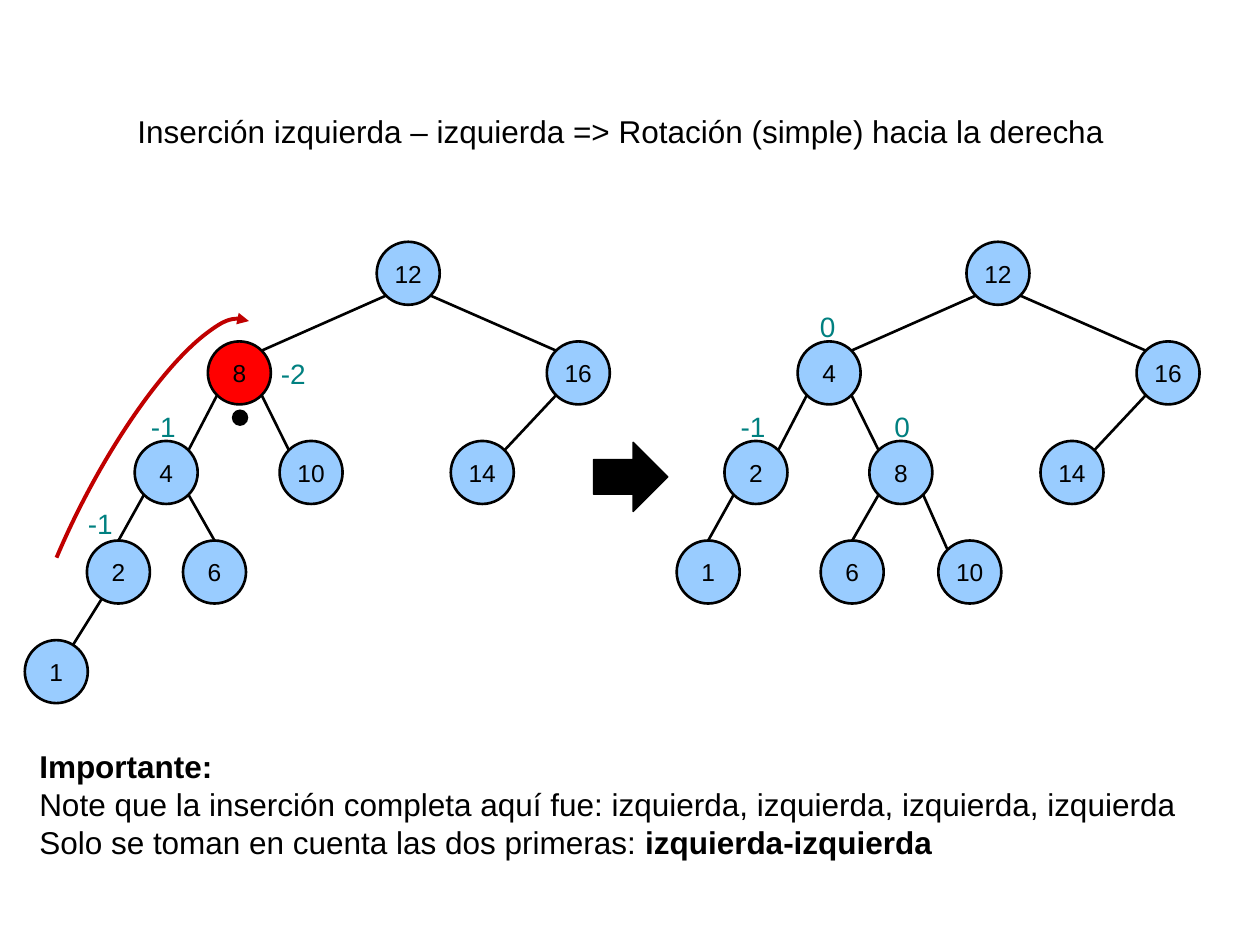
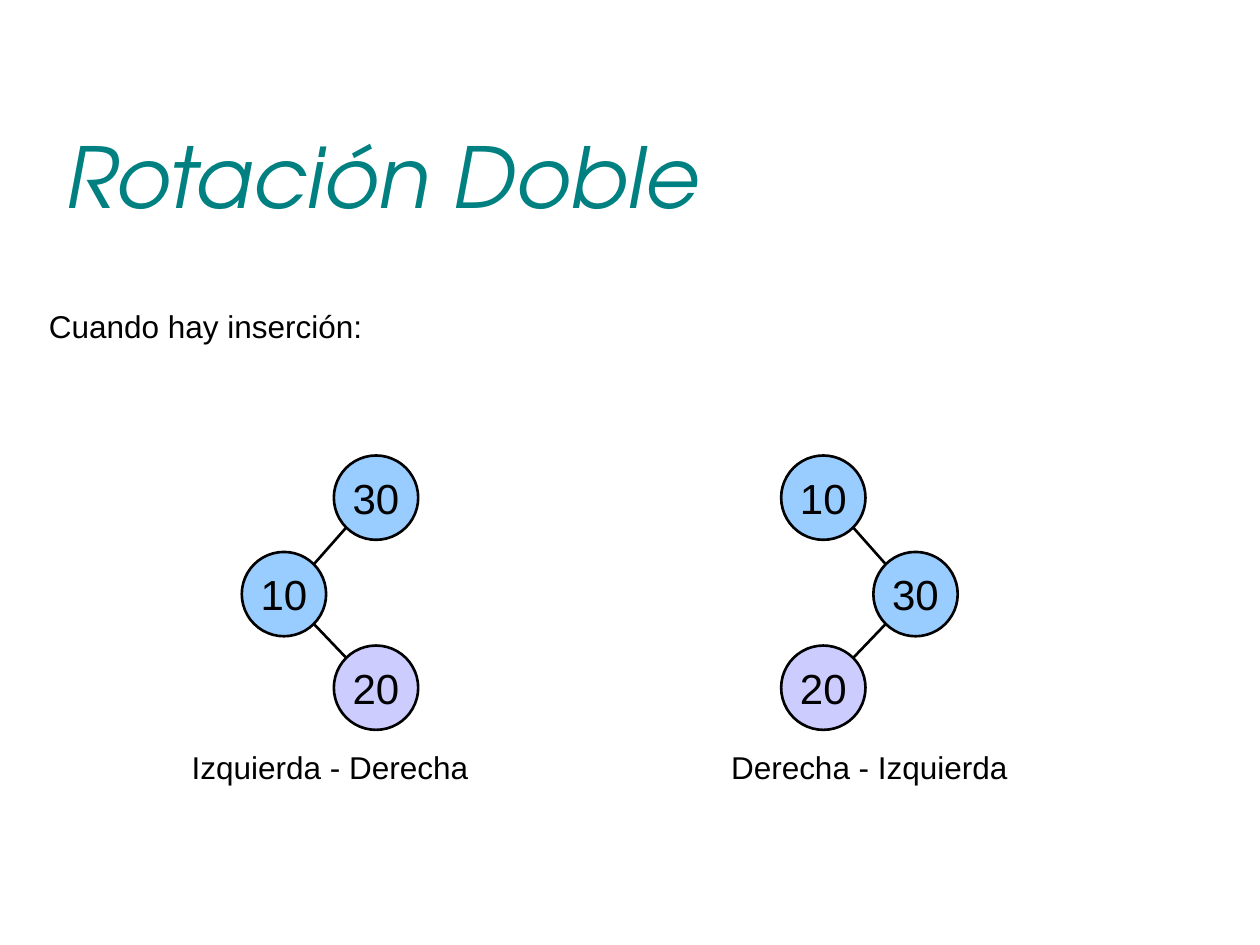
"""Builds two slides on AVL tree rotations."""
import math

import pptx
import pptx.dml.color
import pptx.enum.shapes
import pptx.enum.text
import pptx.oxml
import pptx.oxml.ns
import pptx.util

Pt = pptx.util.Pt
SHAPE = pptx.enum.shapes.MSO_SHAPE
ALIGN = pptx.enum.text.PP_ALIGN
ANCHOR = pptx.enum.text.MSO_ANCHOR
COLORS = {
    "black": "000000",
    "teal": "008080",
    "node": "99CCFF",
    "unbalanced": "FF0000",
    "inserted": "CCCCFF",
    "path_arrow": "C00000",
}
BODY_FONT = "Arial"
TITLE_FONT = "TeX Gyre Adventor"
ROOT_TOP, LEVEL_GAP = 138.2, 56.9
AFTER_OFFSET = 337


def rgb(name):
    return pptx.dml.color.RGBColor.from_string(COLORS[name])


def box(left, top, width, height):
    return Pt(left), Pt(top), Pt(width), Pt(height)


def write(tf, text, size=18, color="black", font=BODY_FONT, italic=False,
          align=ALIGN.LEFT, anchor=ANCHOR.TOP, wrap=False):
    tf.word_wrap = wrap
    tf.auto_size = pptx.enum.text.MSO_AUTO_SIZE.NONE
    tf.vertical_anchor = anchor
    for i, line in enumerate(text.split("\n")):
        p = tf.paragraphs[0] if i == 0 else tf.add_paragraph()
        p.alignment = align
        for j, part in enumerate(line.split("**")):
            if part:
                r = p.add_run()
                r.text = part
                r.font.name = font
                r.font.size = Pt(size)
                r.font.bold = j % 2 == 1
                r.font.italic = italic
                r.font.color.rgb = rgb(color)


def add_text(s, text, *bounds, **fmt):
    write(s.shapes.add_textbox(*box(*bounds)).text_frame, text, **fmt)


def set_title(s, text, *bounds, **fmt):
    sp = s.shapes.title
    sp.left, sp.top, sp.width, sp.height = box(*bounds)
    write(sp.text_frame, text, anchor=ANCHOR.MIDDLE, **fmt)


def add_shape(s, kind, *bounds, fill=None, line=None, weight=1.5):
    sp = s.shapes.add_shape(kind, *box(*bounds))
    sp.shadow.inherit = False
    if fill:
        sp.fill.solid()
        sp.fill.fore_color.rgb = rgb(fill)
    else:
        sp.fill.background()
    if line:
        sp.line.color.rgb = rgb(line)
        sp.line.width = Pt(weight)
    else:
        sp.line.fill.background()
    return sp


def add_node(s, value, left, top, size, fill, font_size):
    sp = add_shape(s, SHAPE.OVAL, left, top, size, size, fill=fill, line="black")
    tf = sp.text_frame
    tf.margin_left = tf.margin_right = tf.margin_top = tf.margin_bottom = 0
    write(tf, str(value), size=font_size, align=ALIGN.CENTER, anchor=ANCHOR.MIDDLE)


def add_edge(s, parent, child, size, joint):
    dx, dy = child[0] - parent[0], child[1] - parent[1]
    side = math.copysign(1, dx)
    if joint == "center":
        start = math.atan2(dy, dx)
        end = start + math.pi
    else:
        start = math.atan2(1, side)
        end = -math.pi / 2 if joint == "top" else math.atan2(-1, -side)
    points = []
    for (left, top), angle in ((parent, start), (child, end)):
        points += [Pt(left + size / 2 * (1 + math.cos(angle))),
                   Pt(top + size / 2 * (1 + math.sin(angle)))]
    cx = s.shapes.add_connector(pptx.enum.shapes.MSO_CONNECTOR.STRAIGHT, *points)
    cx.line.color.rgb = rgb("black")
    cx.line.width = Pt(1.5)
    cx._element.spPr.append(pptx.oxml.parse_xml(
        f'<a:effectLst {pptx.oxml.ns.nsdecls("a")}/>'))


def add_tree(s, nodes, size=36, font_size=14, dx=0, fills=None):
    """Draws nodes given as value: (left, top, parent value, joint)."""
    places = {value: (left + dx, top) for value, (left, top, _, _) in nodes.items()}
    for value, (_, _, parent, joint) in nodes.items():
        if parent is not None:
            add_edge(s, places[parent], places[value], size, joint)
    for value, place in places.items():
        add_node(s, value, *place, size, (fills or {}).get(value, "node"), font_size)


def add_balance(s, text, left, top):
    add_text(s, text, left, top, 28.8 if len(text) > 1 else 23.8, 26.6,
             size=16, color="teal")


def add_path_arrow(s):
    sp = add_shape(s, SHAPE.ARC, -51.1, 264.2, 263.5, 71.3,
                   line="path_arrow", weight=2.25)
    sp.adjustments[0], sp.adjustments[1] = 132.615, 0.129
    sp.rotation = 297.7
    sp.line._get_or_add_ln().append(pptx.oxml.parse_xml(
        f'<a:tailEnd {pptx.oxml.ns.nsdecls("a")} type="triangle"/>'))


def build_simple_rotation(prs):
    s = prs.slides.add_slide(prs.slide_layouts[5])
    set_title(s, "Inserción izquierda – izquierda => Rotación (simple) hacia la derecha",
              71.3, 60.5, 576.7, 28.8)
    tops = [ROOT_TOP + LEVEL_GAP * level for level in range(5)]
    shared = {
        12: (215.3, tops[0], None, None),
        16: (312.5, tops[1], 12, "diagonal"),
        14: (257.6, tops[2], 16, "diagonal"),
    }
    before = {
        **shared,
        8: (118.8, tops[1], 12, "diagonal"),
        4: (77, tops[2], 8, "diagonal"),
        10: (159.8, tops[2], 8, "diagonal"),
        2: (49.7, tops[3], 4, "top"),
        6: (104.6, tops[3], 4, "top"),
        1: (14.2, tops[4], 2, "center"),
    }
    after = {
        **shared,
        4: (118.8, tops[1], 12, "diagonal"),
        2: (77, tops[2], 4, "diagonal"),
        8: (159.8, tops[2], 4, "diagonal"),
        1: (49.7, tops[3], 2, "top"),
        6: (132, tops[3], 8, "top"),
        10: (199.2, tops[3], 8, "diagonal"),
    }
    add_tree(s, before, fills={8: "unbalanced"})
    add_tree(s, after, dx=AFTER_OFFSET)
    for text, left, top in (
            ("-1", 43.2, 285.8), ("-1", 79.2, 230.4), ("-2", 153.4, 200.2),
            ("-1", 416.2, 230.4), ("0", 461.5, 173.5), ("0", 504, 230.4)):
        add_balance(s, text, left, top)
    add_shape(s, SHAPE.OVAL, 132.5, 234, 9.4, 9.4, fill="black")
    add_path_arrow(s)
    add_shape(s, SHAPE.RIGHT_ARROW, 339.1, 252.7, 42.5, 39.6,
              fill="black", line="black", weight=0.75)
    add_text(s, "**Importante:**\n"
             "Note que la inserción completa aquí fue: izquierda, izquierda, izquierda, izquierda\n"
             "Solo se toman en cuenta las dos primeras: **izquierda-izquierda**",
             15.4, 423.4, 669.6, 72.7)


def build_double_rotation(prs):
    s = prs.slides.add_slide(prs.slide_layouts[5])
    set_title(s, "Rotación Doble", 30.2, 54.7, 648, 90, size=48, color="teal",
              font=TITLE_FONT, italic=True, wrap=True)
    add_text(s, "Cuando hay inserción:", 20.9, 172.1, 195.1, 28.8)
    for values, outer, inner, caption, caption_left in (
            ((30, 10, 20), 190.8, 138.2, "Izquierda - Derecha", 101.5),
            ((10, 30, 20), 446.4, 499.1, "Derecha - Izquierda", 409.7)):
        root, middle, leaf = values
        nodes = {
            root: (outer, 260.3, None, None),
            middle: (inner, 315.4, root, "diagonal"),
            leaf: (outer, 368.9, middle, "diagonal"),
        }
        add_tree(s, nodes, size=48.2, font_size=24, fills={leaf: "inserted"})
        add_text(s, caption, caption_left, 424.1, 174.2, 28.8, align=ALIGN.CENTER)


def main():
    prs = pptx.Presentation()
    prs.slide_width, prs.slide_height = Pt(720), Pt(540)
    build_simple_rotation(prs)
    build_double_rotation(prs)
    prs.save("out.pptx")


if __name__ == "__main__":
    main()
